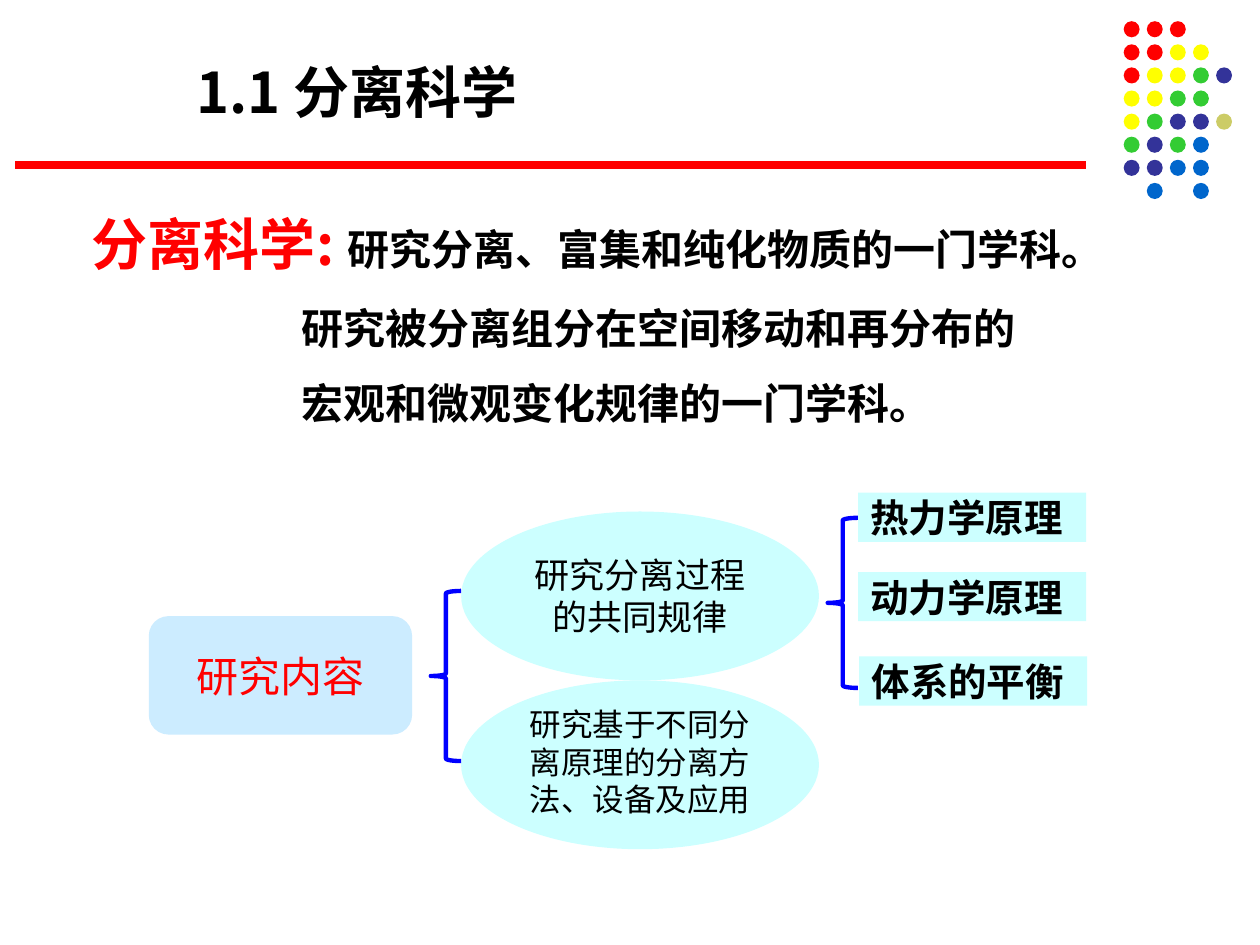
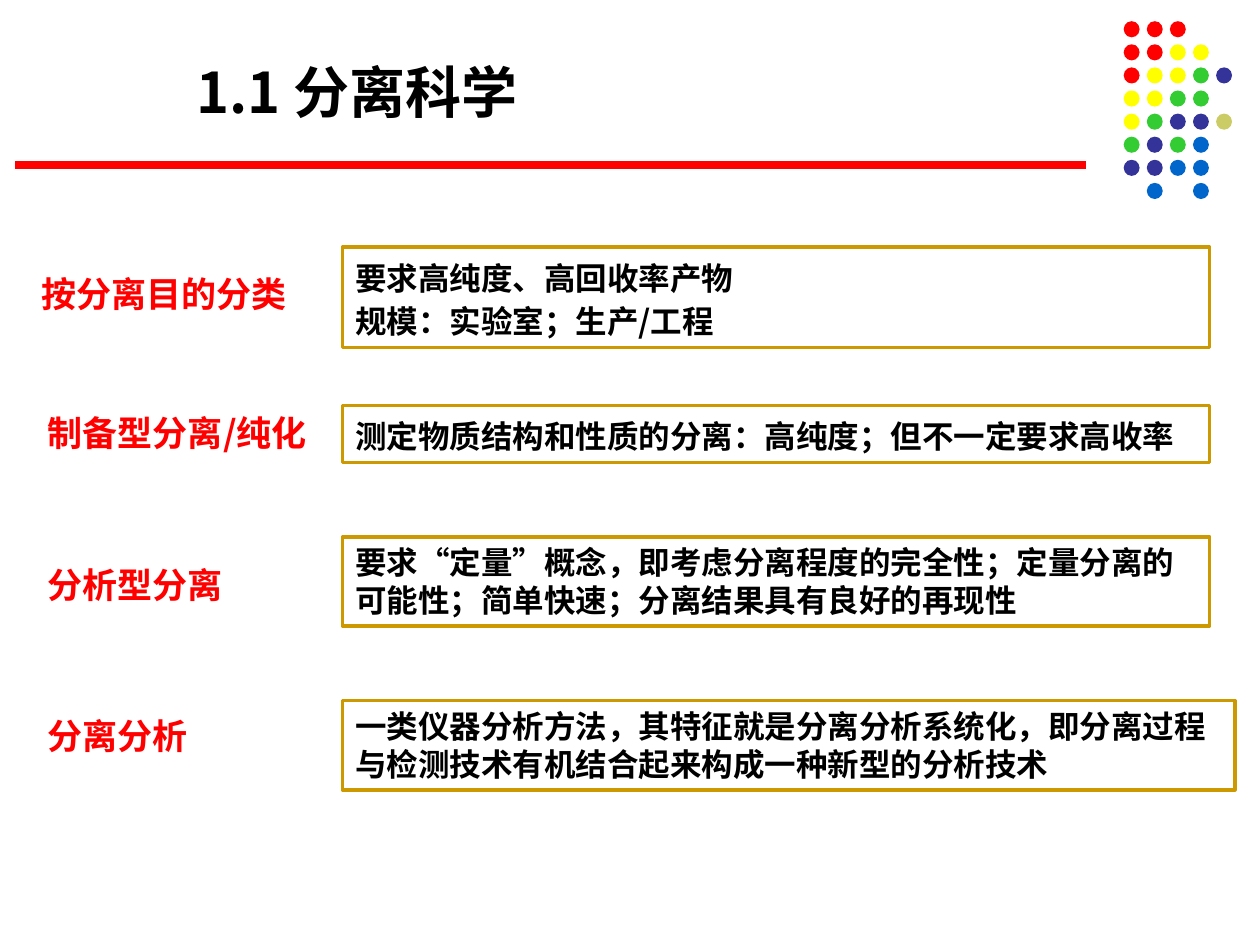
from lxml import etree
from pptx import Presentation
from pptx.dml.color import RGBColor
from pptx.enum.shapes import MSO_CONNECTOR, MSO_SHAPE
from pptx.enum.text import MSO_ANCHOR, PP_ALIGN
from pptx.oxml.ns import qn
from pptx.util import Pt

OVAL, RECT = MSO_SHAPE.OVAL, MSO_SHAPE.RECTANGLE
ROUND, BRACE = MSO_SHAPE.ROUNDED_RECTANGLE, MSO_SHAPE.LEFT_BRACE
TOP, MIDDLE, BOTTOM = MSO_ANCHOR.TOP, MSO_ANCHOR.MIDDLE, MSO_ANCHOR.BOTTOM
LEFT, CENTER = PP_ALIGN.LEFT, PP_ALIGN.CENTER
STRAIGHT = MSO_CONNECTOR.STRAIGHT

FONT = "Noto Sans CJK SC"
HUES = {
    "red": "FF0000", "yellow": "FFFF00", "green": "33CC33", "navy": "333399",
    "blue": "0066CC", "olive": "CCCC66", "black": "000000", "white": "FFFFFF",
    "sky": "CCECFF", "aqua": "CCFFFF", "brace": "0000FF", "gold": "CC9900",
}
RGB = {name: RGBColor.from_string(code) for name, code in HUES.items()}


def draw(parent, kind, box, fill, line=None, width=0):
    shape = parent.shapes.add_shape(kind, *[Pt(n) for n in box])
    shape.shadow.inherit = False
    shape.fill.solid()
    shape.fill.fore_color.rgb = RGB[fill]
    if line:
        shape.line.color.rgb = RGB[line]
        shape.line.width = Pt(width)
    else:
        shape.line.fill.background()
    return shape


def write(shape, text, size, hue="black", bold=True, align=LEFT, anchor=TOP, space=1.0):
    frame = shape.text_frame
    frame.text = text
    frame.word_wrap = True
    frame.vertical_anchor = anchor
    for para in frame.paragraphs:
        para.alignment = align
        para.line_spacing = space
        for run in para.runs:
            font = run.font
            font.name, font.size, font.bold = FONT, Pt(size), bold
            font.color.rgb = RGB[hue]
            props = run._r.get_or_add_rPr()
            props.set("lang", "zh-CN")
            etree.SubElement(props, qn("a:ea")).set("typeface", FONT)
    return frame


deck = Presentation()
deck.slide_width, deck.slide_height = Pt(720), Pt(540)
first, second = [deck.slides.add_slide(deck.slide_layouts[6]) for _ in range(2)]

# Shared dots, rule and title
dots = {"r": "red", "y": "yellow", "g": "green", "n": "navy", "b": "blue", "o": "olive"}
rows = ["rrr", "rryy", "ryygn", "yygg", "ygnno", "gngb", "nnbb", " b b"]
for slide in (first, second):
    group = slide.shapes.add_group_shape()
    for r, row in enumerate(rows):
        for c, key in enumerate(row):
            if key in dots:
                draw(group, OVAL, (642.1 + 13.2 * c, 12.1 + 13.2 * r, 9.1, 9.2), dots[key])
    rule = slide.shapes.add_connector(STRAIGHT, Pt(8.6), Pt(94.3), Pt(620.6), Pt(94.3))
    rule.line.color.rgb = RGB["red"]
    rule.line.width = Pt(4.5)
    etree.SubElement(rule._element.spPr, qn("a:effectLst"))
    title = slide.shapes.add_textbox(Pt(105.1), Pt(29.5), Pt(255.6), Pt(46))
    write(title, "1.1 分离科学", 32)

# Slide 1: definition
body = first.shapes.add_textbox(Pt(45.4), Pt(97.2), Pt(598.3), Pt(152.6))
frame = write(body, "分离科学: \n研究被分离组分在空间移动和再分布的\n宏观和微观变化规律的一门学科。", 24, space=1.5)
lead, *rest = frame.paragraphs
term = lead.runs[0]
tail = lead.add_run()
tail.text = "研究分离、富集和纯化物质的一门学科。"
for child in term._r.rPr:
    tail._r.get_or_add_rPr().append(etree.fromstring(etree.tostring(child)))
tail.font.size, tail.font.bold = Pt(24), True
tail._r.rPr.set("lang", "zh-CN")
term.font.size = Pt(32)
term.font.color.rgb = RGB["red"]
for para in rest:
    para._p.get_or_add_pPr().set("marL", str(Pt(120)))

# Slide 1: topic tree
topic = draw(first, ROUND, (85, 352.1, 150.5, 67.7), "sky")
write(topic, "研究内容", 24, "red", False, CENTER, MIDDLE)
ovals = [
    (292.3, "研究分离过程的共同规律", 20, MIDDLE),
    (388.8, "研究基于不同分离原理的分离方法、设备及应用", 18, BOTTOM),
]
for top, text, size, anchor in ovals:
    oval = draw(first, OVAL, (263.5, top, 204.5, 96.5), "aqua")
    write(oval, text, size, "black", False, CENTER, anchor)
for left, top in [(473, 295.9), (246.2, 337.7)]:
    draw(first, BRACE, (left, top, 17.3, 97.2), "white", "brace", 2.5)
laws = [(490.3, 281.5, "热力学原理"), (490.3, 326.9, "动力学原理"), (491, 375.1, "体系的平衡")]
for left, top, text in laws:
    write(draw(first, RECT, (left, top, 130.3, 28.1), "aqua"), text, 22, anchor=MIDDLE)

# Slide 2: labels
head = second.shapes.add_textbox(Pt(16.6), Pt(151.9), Pt(221.8), Pt(31.7))
write(head, "按分离目的分类", 20, "red")
names = second.shapes.add_textbox(Pt(20.2), Pt(226.8), Pt(293.8), Pt(211))
frame = write(names, "制备型分离/纯化\n分析型分离\n分离分析", 20, "red", space=1.2)
for para in frame.paragraphs[1:]:
    para.space_before = Pt(57.8)

# Slide 2: framed notes
notes = [
    (141.1, 495.4, 57.6, 1.15, "要求高纯度、高回收率产物\n规模：实验室；生产/工程"),
    (231.8, 495.4, 32.4, 1.15, "测定物质结构和性质的分离：高纯度；但不一定要求高收率"),
    (306.7, 495.4, 51.1, 1.0,
     "要求“定量”概念，即考虑分离程度的完全性；定量分离的可能性；简单快速；分离结果具有良好的再现性"),
    (400.3, 509.8, 51.1, 1.0,
     "一类仪器分析方法，其特征就是分离分析系统化，即分离过程与检测技术有机结合起来构成一种新型的分析技术"),
]
for top, width, height, space, text in notes:
    note = draw(second, RECT, (195.8, top, width, height), "white", "gold", 2)
    write(note, text, 18, space=space)

deck.save("out.pptx")
